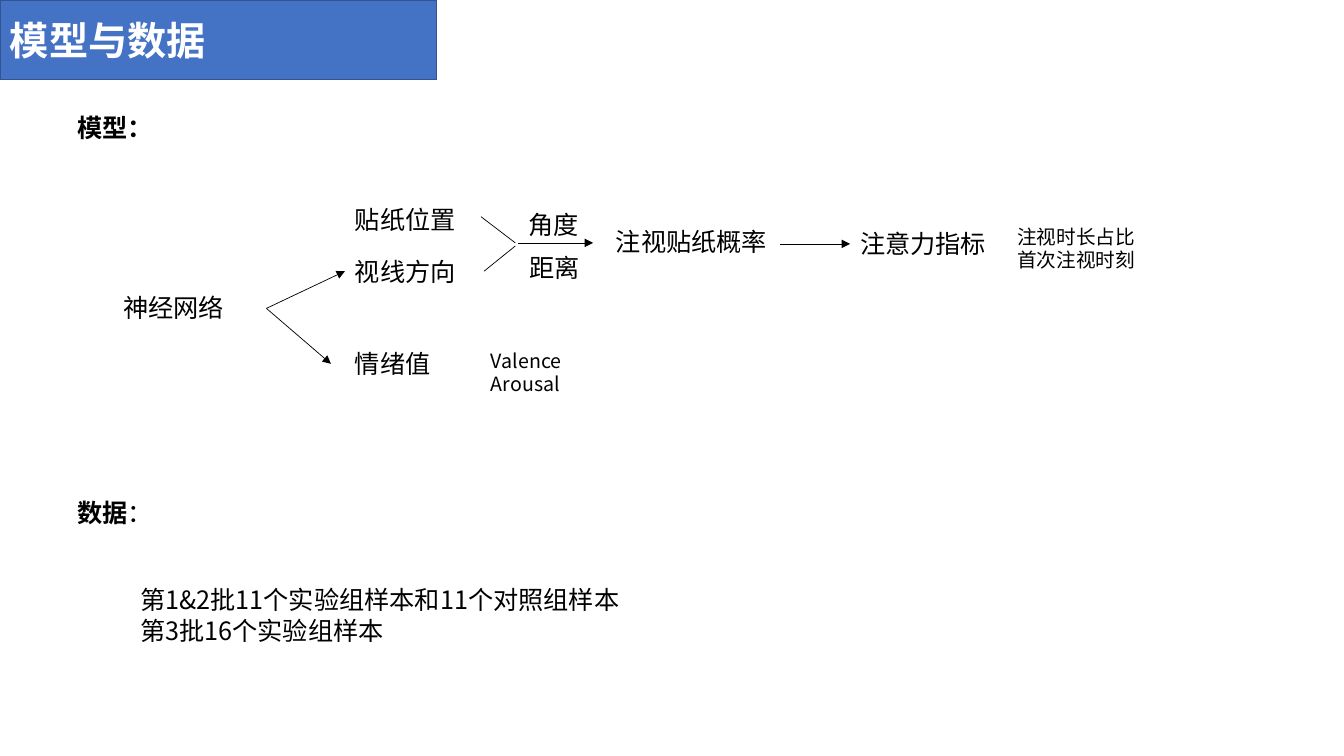
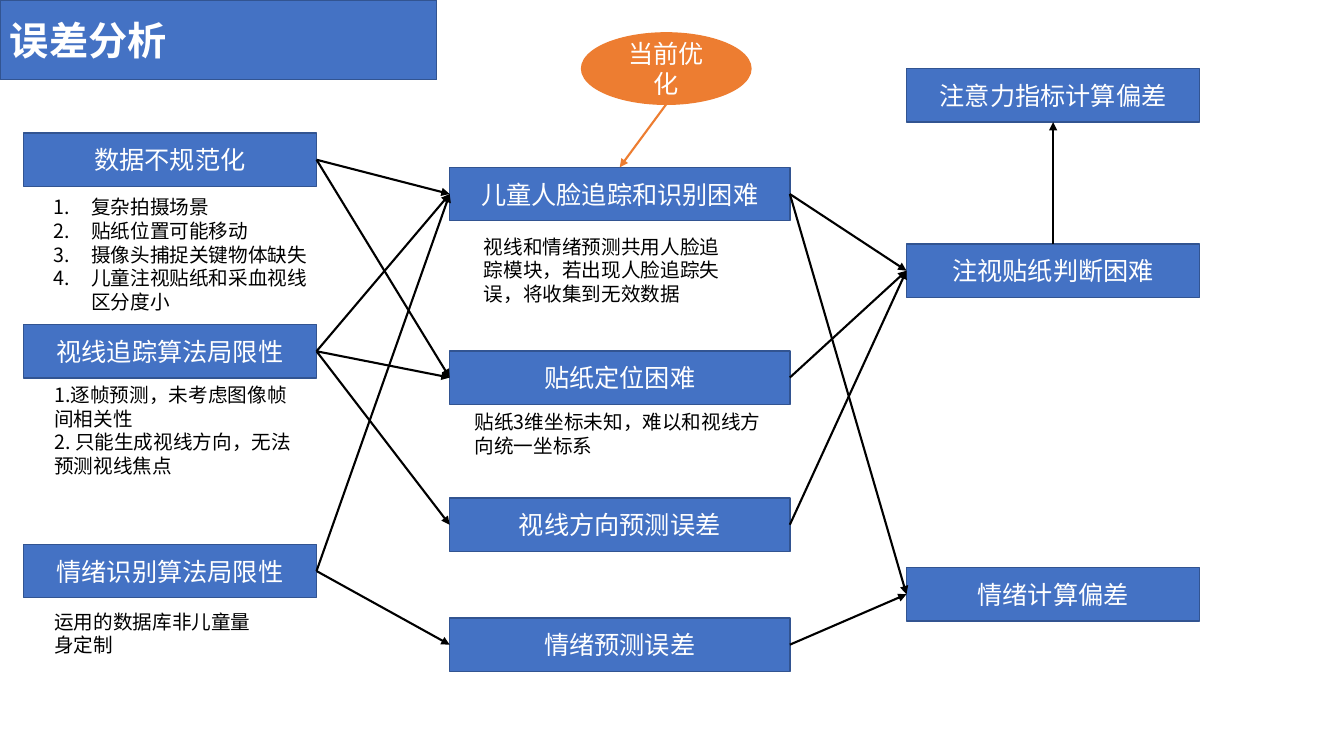
import pptx
import pptx.dml.color
import pptx.enum.shapes
import pptx.enum.text
import pptx.oxml
import pptx.oxml.ns
import pptx.util

Pt = pptx.util.Pt
SHAPES = pptx.enum.shapes.MSO_SHAPE
ALIGN = pptx.enum.text.PP_ALIGN
TOP, LEFT, BOTTOM, RIGHT = range(4)

COLOURS = {
    "band": "4472C4",
    "edge": "325491",
    "accent": "ED7D31",
    "ink": "000000",
    "paper": "FFFFFF",
}
FACE = "Noto Sans CJK SC"
BODY = {"name": FACE, "size": Pt(18), "bold": False}
HEADING = {**BODY, "bold": True}
SMALL = {**BODY, "size": Pt(14)}
TITLE = {"name": "Arial", "size": Pt(28), "bold": True}
FITTED = {
    "word_wrap": True,
    "auto_size": pptx.enum.text.MSO_AUTO_SIZE.SHAPE_TO_FIT_TEXT,
}
CENTRED = {
    "word_wrap": True,
    "vertical_anchor": pptx.enum.text.MSO_ANCHOR.MIDDLE,
}
NODE_HEIGHT = 38.2
LINE_HEIGHT = 28.8


def colour(name):
    """Return the named palette colour."""
    return pptx.dml.color.RGBColor.from_string(COLOURS[name])


def apply(target, values):
    """Set every given attribute on the target."""
    for name, value in values.items():
        setattr(target, name, value)


def add_child(parent, tag, **attributes):
    """Append a drawing element with its attributes."""
    child = pptx.oxml.parse_xml(f"<{tag} {pptx.oxml.ns.nsdecls('a')}/>")
    for name, value in attributes.items():
        child.set(name, value)
    parent.append(child)


def add_span(para, text, style, ink):
    """Add one formatted run to a paragraph."""
    span = para.add_run()
    span.text = text
    apply(span.font, style)
    span.font.color.rgb = colour(ink)
    add_child(span.font._element, "a:ea", typeface=FACE)


def write(frame, lines, style, ink="ink", align=ALIGN.LEFT):
    """Write one paragraph per line and return the paragraphs."""
    for index, line in enumerate(lines):
        para = frame.add_paragraph() if index else frame.paragraphs[0]
        para.alignment = align
        add_span(para, line, style, ink)
    return frame.paragraphs


def add_text(page, box, lines, style=BODY):
    """Add a wrapping text box and return its paragraphs."""
    frame = page.shapes.add_textbox(*map(Pt, box)).text_frame
    apply(frame, FITTED)
    return write(frame, lines, style)


def number(paras):
    """Give paragraphs automatic numbers and a hanging indent."""
    for para in paras:
        properties = para._p.get_or_add_pPr()
        properties.set("marL", str(Pt(27)))
        properties.set("indent", str(-Pt(27)))
        add_child(properties, "a:buAutoNum", type="arabicPeriod")


def add_block(page, box, text, kind=SHAPES.RECTANGLE, fill="band", edge="edge",
              style=BODY, align=ALIGN.CENTER):
    """Add a filled shape with white text in it."""
    shape = page.shapes.add_shape(kind, *map(Pt, box))
    shape.shadow.inherit = False
    shape.fill.solid()
    shape.fill.fore_color.rgb = colour(fill)
    shape.line.color.rgb = colour(edge)
    shape.line.width = Pt(1)
    apply(shape.text_frame, CENTRED)
    write(shape.text_frame, [text], style, "paper", align)
    return shape


def add_line(page, start=(0, 0), end=(0, 0), width=1.5, ink="ink", arrow=True):
    """Add a straight line, with an arrowhead at its end if wanted."""
    line = page.shapes.add_connector(
        pptx.enum.shapes.MSO_CONNECTOR.STRAIGHT, *map(Pt, (*start, *end)))
    line.line.color.rgb = colour(ink)
    line.line.width = Pt(width)
    if arrow:
        add_child(line.line._get_or_add_ln(), "a:tailEnd", type="triangle")
    add_child(line._element.spPr, "a:effectLst")
    return line


def join(page, source, target, exit_side=RIGHT, entry_side=LEFT):
    """Draw an arrow that is attached to two blocks."""
    line = add_line(page)
    line.begin_connect(source, exit_side)
    line.end_connect(target, entry_side)


def add_page(deck, title):
    """Add a blank page with its title band."""
    page = deck.slides.add_slide(deck.slide_layouts[6])
    add_block(page, (0, 0, 312, 57), title, style=TITLE, align=ALIGN.LEFT)
    return page


def model_region(page, box):
    """Draw the flow from the network to the attention measures."""
    left, top, width, height = box
    add_text(page, (left, top, 175, LINE_HEIGHT), ["模型："], HEADING)
    labels = [
        (32.6, 128.2, 109.4, "神经网络"),
        (198.2, 65.6, 108.7, "贴纸位置"),
        (198.2, 102.3, 108.7, "视线方向"),
        (198.2, 168.5, 108.7, "情绪值"),
        (322.1, 69.2, 60.5, "角度"),
        (322.8, 99.4, 60.5, "距离"),
        (384.7, 81.4, 132.5, "注视贴纸概率"),
        (559, 82.8, 118.8, "注意力指标"),
    ]
    for across, down, span, text in labels:
        add_text(page, (left + across, top + down, span, LINE_HEIGHT), [text])
    measures = [
        (295.4, 168.5, 87.1, ["Valence", "Arousal"]),
        (671.3, 80, 146.9, ["注视时长占比", "首次注视时刻"]),
    ]
    for across, down, span, lines in measures:
        add_text(page, (left + across, top + down, span, 41), lines, SMALL)
    links = [
        ((142.1, 143.3), (198.2, 116.7), True),
        ((142.1, 143.3), (188.2, 182.9), True),
        ((295.4, 77.8), (319.9, 96.5), False),
        ((297.6, 116.7), (319.9, 98.7), False),
        ((322.1, 96.5), (375.4, 96.5), True),
        ((509.3, 97.2), (559, 97.2), True),
    ]
    for start, end, arrow in links:
        add_line(page, (left + start[0], top + start[1]),
                 (left + end[0], top + end[1]), 0.5, arrow=arrow)


def data_region(page, box):
    """Write the heading and the list of samples."""
    left, top, width, height = box
    heading = add_text(page, (left, top, 142, LINE_HEIGHT), ["数据"], HEADING)
    add_span(heading[0], "：", BODY, "ink")
    add_text(page, (left + 44.9, top + 62.6, 398, 51),
             ["第1&2批11个实验组样本和11个对照组样本", "第3批16个实验组样本"])


def column(page, box, nodes):
    """Place blocks down a column with notes under them, and return the blocks."""
    left, top, width, height = box
    blocks = []
    for text, down, note in nodes:
        blocks.append(add_block(page, (left, top + down, width, NODE_HEIGHT), text))
        if note:
            across, drop, span, depth, lines, numbered = note
            place = (left + across, top + down + drop, span, depth)
            paras = add_text(page, place, lines, SMALL)
            if numbered:
                number(paras)
    return blocks


def focus_region(page, box, target):
    """Draw the ellipse that points at the block being improved."""
    left, top, width, height = box
    add_block(page, box, "当前优化", SHAPES.OVAL, "accent", "accent")
    end = ((target.left + target.width / 2) / Pt(1), target.top / Pt(1))
    add_line(page, (left + width / 2, top + height), end, ink="accent")


def model_page(deck):
    """Build the page on the model and the data."""
    page = add_page(deck, "模型与数据")
    model_region(page, (48.2, 77, 820, 210))
    data_region(page, (48.2, 351.4, 450, 115))


def error_page(deck):
    """Build the page that traces causes to errors."""
    page = add_page(deck, "误差分析")
    causes = column(page, (16.6, 95, 209.5, 378), [
        ("数据不规范化", 0, (14.4, 41, 209.5, 92.2, [
            "复杂拍摄场景", "贴纸位置可能移动", "摄像头捕捉关键物体缺失",
            "儿童注视贴纸和采血视线区分度小"], True)),
        ("视线追踪算法局限性", 136.8, (15.1, 38.2, 190.8, 74.9, [
            "1.逐帧预测，未考虑图像帧间相关性",
            "2. 只能生成视线方向，无法预测视线焦点"], False)),
        ("情绪识别算法局限性", 293.8, (15.1, 43.2, 164.9, 41, [
            "运用的数据库非儿童量身定制"], False)),
    ])
    problems = column(page, (321.2, 119.5, 243, 360), [
        ("儿童人脸追踪和识别困难", 0, (17.3, 44.6, 193, 58.3, [
            "视线和情绪预测共用人脸追踪模块，若出现人脸追踪失误，将收集到无效数据"], False)),
        ("贴纸定位困难", 131.1, (10.8, 38.9, 221, 41, [
            "贴纸3维坐标未知，难以和视线方向统一坐标系"], False)),
        ("视线方向预测误差", 236.2, None),
        ("情绪预测误差", 321.9, None),
    ])
    effects = column(page, (647.5, 49, 209.5, 395), [
        ("注意力指标计算偏差", 0, None),
        ("注视贴纸判断困难", 125.3, None),
        ("情绪计算偏差", 356.4, None),
    ])
    for cause, problem in [(0, 0), (0, 1), (1, 2), (2, 3), (1, 0), (2, 0), (1, 1)]:
        join(page, causes[cause], problems[problem])
    for problem, effect in [(0, 1), (0, 2), (1, 1), (2, 1), (3, 2)]:
        join(page, problems[problem], effects[effect])
    join(page, effects[1], effects[0], TOP, BOTTOM)
    focus_region(page, (415.4, 23.5, 121, 51), problems[0])


deck = pptx.Presentation()
apply(deck, {"slide_width": Pt(960), "slide_height": Pt(540)})
model_page(deck)
error_page(deck)
deck.save("out.pptx")
